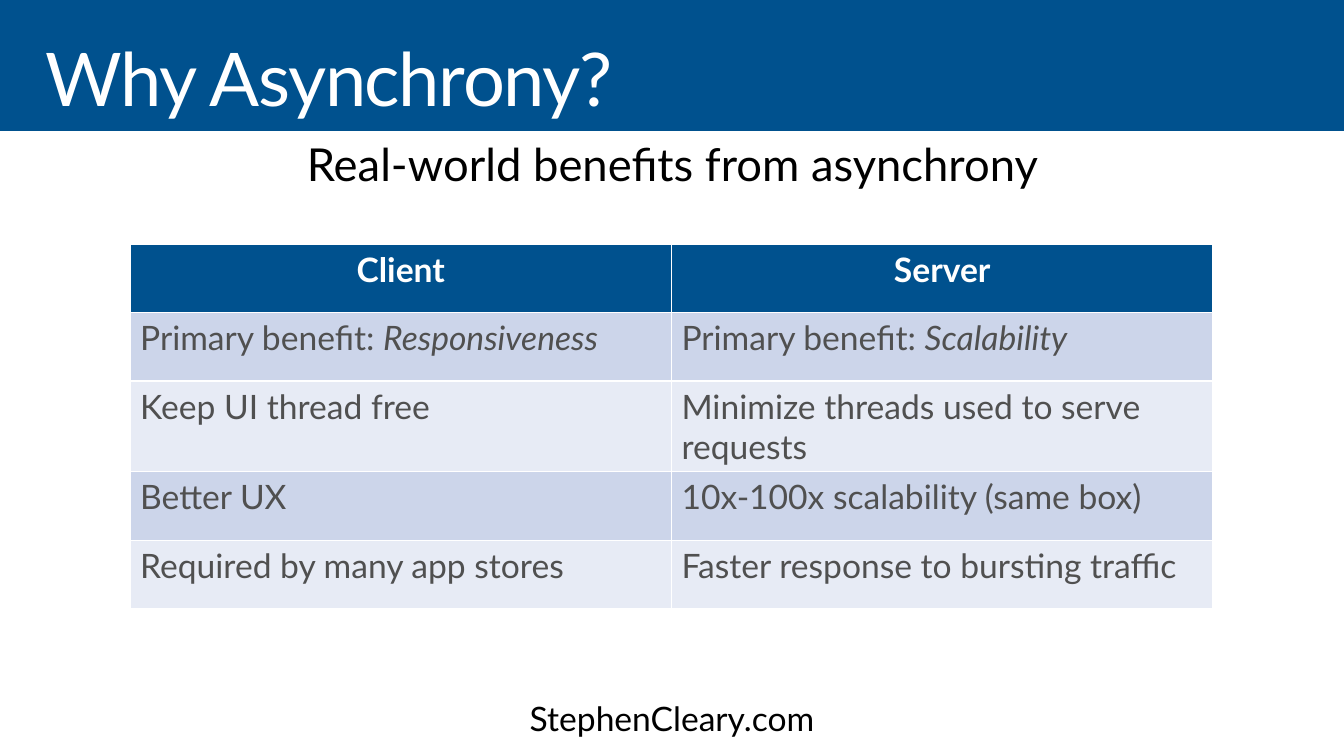
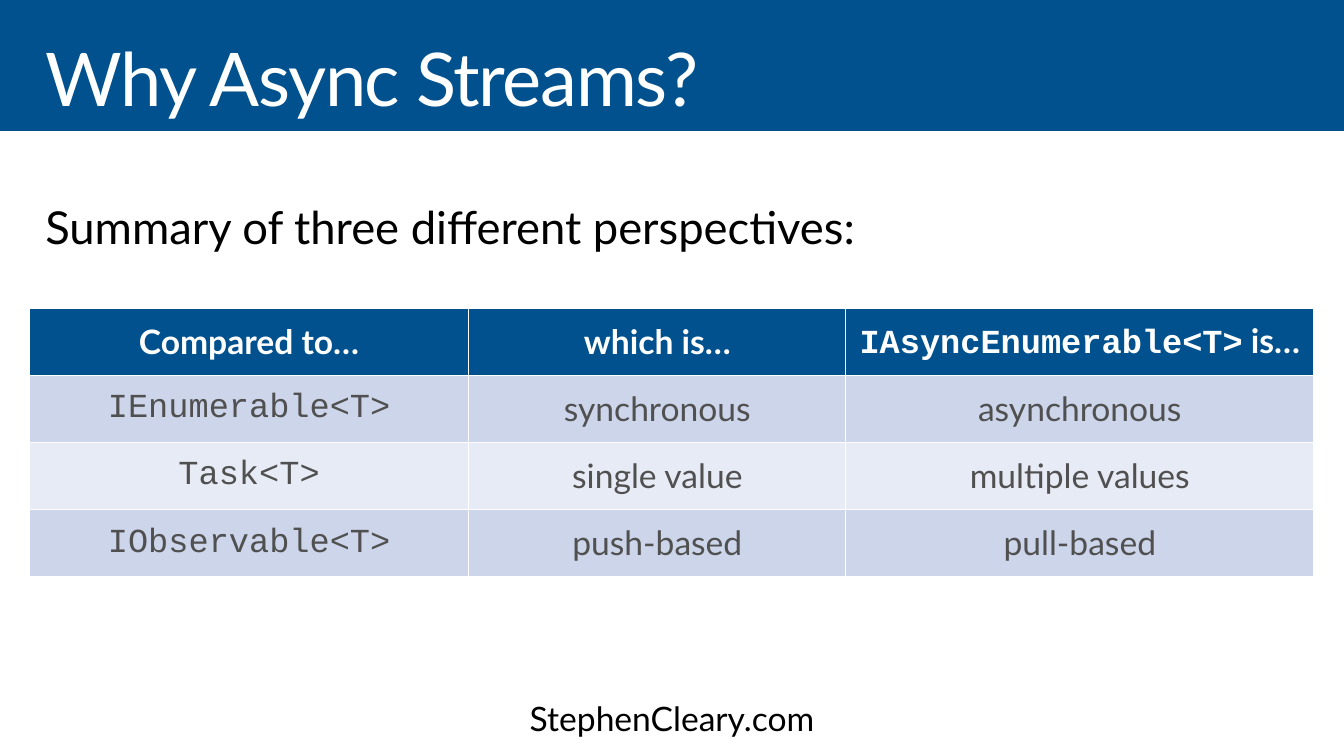
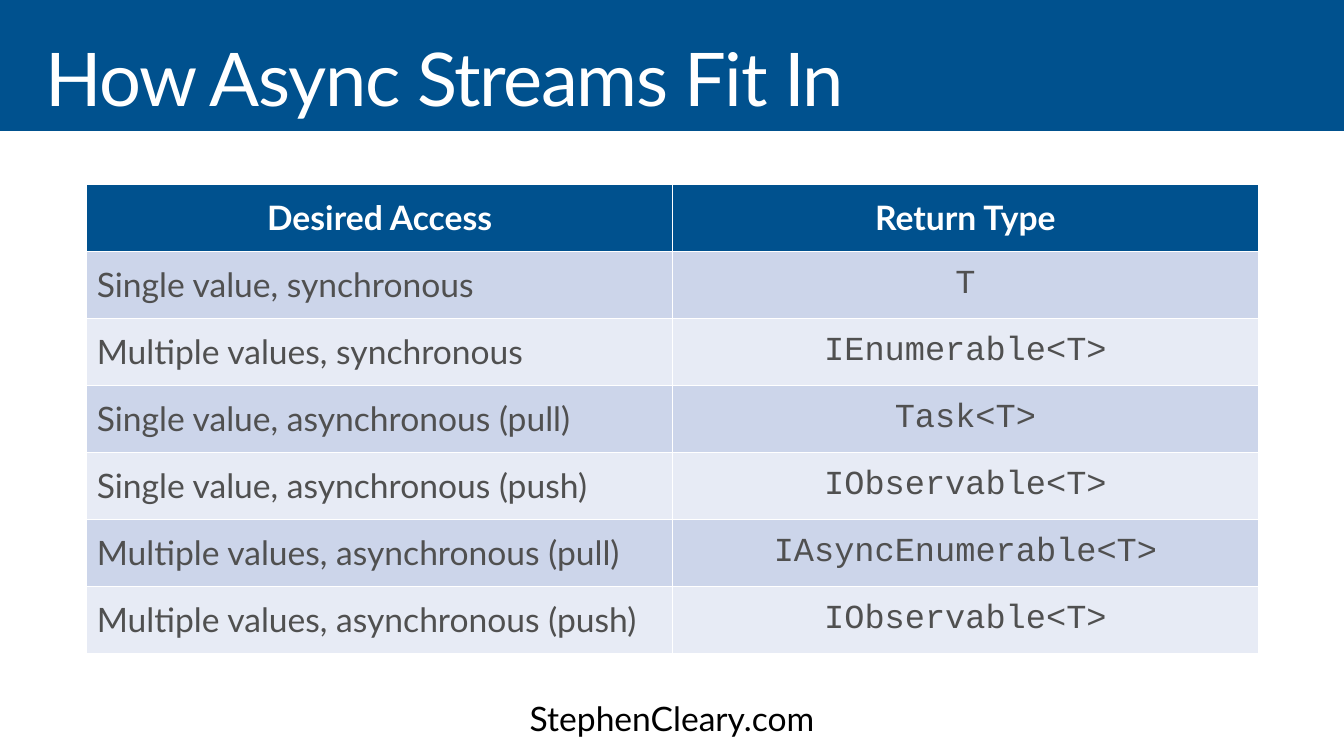
from pptx import Presentation
from pptx import util as u
from pptx.dml.color import RGBColor
from pptx.enum import shapes, text

COLORS = {
    "blue": "00518E",
    "white": "FFFFFF",
    "black": "000000",
    "gray": "505050",
    "band_dark": "CCD5EA",
    "band_light": "E7EBF5",
}
FONT, CODE_FONT = "Lato", "Courier New"
WIDTH, HEIGHT, BAND = 13.33, 7.5, 1.3
FOOTER = "StephenCleary.com"
LEFT, CENTER = text.PP_ALIGN.LEFT, text.PP_ALIGN.CENTER
TOP, MIDDLE = text.MSO_ANCHOR.TOP, text.MSO_ANCHOR.MIDDLE


def code(value):
    return [(value, "code")]


SLIDES = [
    {
        "title": "Why Asynchrony?",
        "body": ("Real-world benefits from asynchrony", (1.89, 1.31, 9.56, 0.69), CENTER),
        "table": {
            "at": (1.29, 2.42),
            "cols": [5.37, 5.37],
            "heights": [0.68, 0.68, 0.9, 0.68, 0.68],
            "aligns": [LEFT, LEFT],
            "anchor": TOP,
            "rows": [
                ["Client", "Server"],
                [
                    [("Primary benefit: ", ""), ("Responsiveness", "italic")],
                    [("Primary benefit: ", ""), ("Scalability", "italic")],
                ],
                ["Keep UI thread free", "Minimize threads used to serve requests"],
                ["Better UX", "10x-100x scalability (same box)"],
                ["Required by many app stores", "Faster response to bursting traffic"],
            ],
        },
    },
    {
        "title": "Why Async Streams?",
        "body": ("Summary of three different perspectives:", (0.29, 1.94, 12.74, 0.69), LEFT),
        "table": {
            "at": (0.29, 3.06),
            "cols": [4.36, 3.74, 4.64],
            "heights": [2.66 / 4] * 4,
            "aligns": [CENTER, CENTER, CENTER],
            "anchor": MIDDLE,
            "rows": [
                ["Compared to…", "which is…", code("IAsyncEnumerable<T>") + [(" is…", "")]],
                [code("IEnumerable<T>"), "synchronous", "asynchronous"],
                [code("Task<T>"), "single value", "multiple values"],
                [code("IObservable<T>"), "push-based", "pull-based"],
            ],
        },
    },
    {
        "title": "How Async Streams Fit In",
        "table": {
            "at": (0.86, 1.83),
            "cols": [5.81, 5.81],
            "heights": [4.65 / 7] * 7,
            "aligns": [LEFT, CENTER],
            "anchor": MIDDLE,
            "rows": [
                ["Desired Access", "Return Type"],
                ["Single value, synchronous", code("T")],
                ["Multiple values, synchronous", code("IEnumerable<T>")],
                ["Single value, asynchronous (pull)", code("Task<T>")],
                ["Single value, asynchronous (push)", code("IObservable<T>")],
                ["Multiple values, asynchronous (pull)", code("IAsyncEnumerable<T>")],
                ["Multiple values, asynchronous (push)", code("IObservable<T>")],
            ],
        },
    },
]


def rgb(name):
    return RGBColor.from_string(COLORS[name])


def set_fill(target, color):
    target.fill.solid()
    target.fill.fore_color.rgb = rgb(color)


def write(tf, content, size, color, align=LEFT, bold=False):
    p = tf.paragraphs[0]
    p.alignment = align
    p.font.size, p.font.name, p.font.bold = u.Pt(size), FONT, bold
    p.font.color.rgb = rgb(color)
    for value, style in [(content, "")] if isinstance(content, str) else content:
        r = p.add_run()
        r.text = value
        if style == "code":
            r.font.name = CODE_FONT
        elif style == "italic":
            r.font.italic = True
    return p


def write_box(sp, content, at, inset, size, color, align=LEFT):
    sp.left, sp.top, sp.width, sp.height = map(u.Inches, at)
    tf = sp.text_frame
    tf.word_wrap = True
    tf.auto_size = text.MSO_AUTO_SIZE.NONE
    tf.vertical_anchor = TOP
    tf.margin_left = tf.margin_right = u.Inches(inset[0])
    tf.margin_top = tf.margin_bottom = u.Inches(inset[1])
    p = write(tf, content, size, color, align)
    p.line_spacing = 0.9
    return p


def add_box(s, content, at, inset, size, align):
    sp = s.shapes.add_textbox(0, 0, 0, 0)
    write_box(sp, content, at, inset, size, "black", align)


def add_frame(s, title):
    panel = s.shapes.add_shape(
        shapes.MSO_SHAPE.RECTANGLE,
        *map(u.Inches, (0, BAND, WIDTH, HEIGHT - BAND)),
    )
    panel.shadow.inherit = False
    set_fill(panel, "white")
    panel.line.fill.background()
    add_box(s, FOOTER, (0, 6.81, WIDTH, 0.69), (0.2, 0.16), 24, CENTER)
    p = write_box(s.shapes.title, title, (0.29, 0.32, 12.75, 0.98), (0.16, 0.1), 52.9, "white")
    p.runs[0]._r.get_or_add_rPr().set("spc", "-100")


def add_table(s, at, cols, heights, aligns, anchor, rows):
    size = sum(cols), sum(heights)
    table = s.shapes.add_table(len(rows), len(cols), *map(u.Inches, at + size)).table
    for column, width in zip(table.columns, cols):
        column.width = u.Inches(width)
    for i, (row, height) in enumerate(zip(rows, heights)):
        table.rows[i].height = u.Inches(height)
        header = i == 0
        fill = "blue" if header else ("band_light", "band_dark")[i % 2]
        for j, content in enumerate(row):
            cell = table.cell(i, j)
            cell.vertical_anchor = anchor
            set_fill(cell, fill)
            write(
                cell.text_frame, content, 24,
                "white" if header else "gray",
                CENTER if header else aligns[j],
                header,
            )


def main():
    prs = Presentation()
    prs.slide_width, prs.slide_height = u.Inches(WIDTH), u.Inches(HEIGHT)
    set_fill(prs.slide_master.background, "blue")
    for data in SLIDES:
        s = prs.slides.add_slide(prs.slide_layouts[5])
        add_frame(s, data["title"])
        if "body" in data:
            content, at, align = data["body"]
            add_box(s, content, at, (0.16, 0.1), 32.4, align)
        add_table(s, **data["table"])
    prs.save("out.pptx")


if __name__ == "__main__":
    main()
